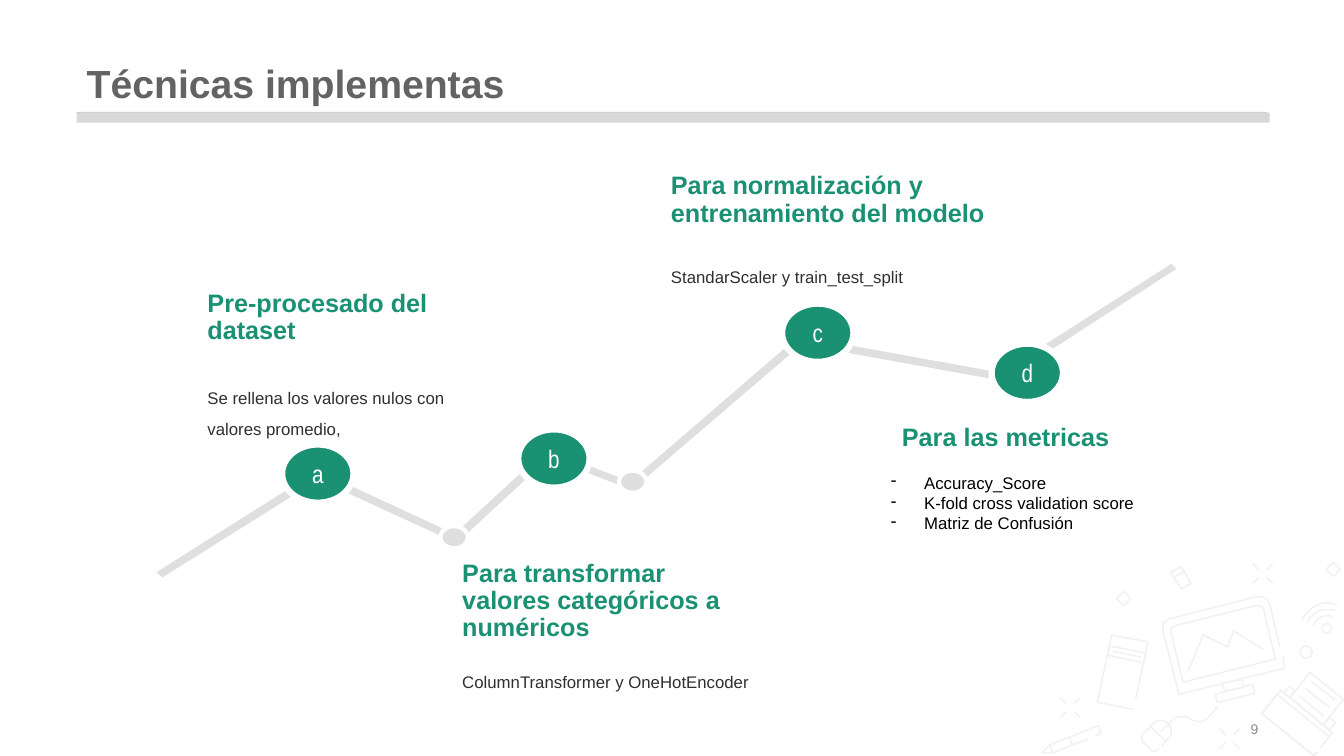
from itertools import product

from lxml.etree import SubElement
from pptx import Presentation
from pptx.dml.color import RGBColor
from pptx.enum.shapes import MSO_CONNECTOR, MSO_SHAPE
from pptx.enum.text import MSO_ANCHOR, MSO_AUTO_SIZE, PP_ALIGN
from pptx.oxml.ns import qn
from pptx.util import Cm, Pt

GREEN = RGBColor(0x1A, 0x91, 0x73)
WHITE = RGBColor(0xFF, 0xFF, 0xFF)
BLACK = RGBColor(0x00, 0x00, 0x00)
TITLE_GREY = RGBColor(0x63, 0x63, 0x63)
BODY_GREY = RGBColor(0x2F, 0x2F, 0x2F)
NUMBER_GREY = RGBColor(0x8C, 0x8C, 0x8C)
RULE_DARK = RGBColor(0xCA, 0xCA, 0xCA)
RULE_LIGHT = RGBColor(0xD8, 0xD8, 0xD8)
PATH_GREY = RGBColor(0xDF, 0xDF, 0xDF)
SKETCH_GREY = RGBColor(0xF2, 0xF2, 0xF2)

GRID = Cm(2.54) / 100
SKETCH_WIDTH = Pt(1.12)
CURVE_STEPS = 8

ROUTE = [(6, 311), (0, 306), (160, 205), (296, 268), (387, 184), (470, 216),
         (637, 72), (639, 72), (838, 108), (1007, 0), (1012, 5), (840, 116),
         (640, 80), (472, 224), (389, 193), (298, 277), (161, 214)]
STOPS = [("a", 3.17, 4.55), ("b", 9.12, 4.17), ("c", 15.77, 1), ("d", 21.05, 2.01)]
BENDS = [(7.16, 6.61), (11.66, 5.21)]

CLOSED_SKETCHES = [
    [(211, 130), (174, 139), (172, 131), (209, 121)],
    [(200, 124), (181, 128), (179, 120), (198, 116)],
    [(279, 161), (246, 134), (266, 109), (299, 136)],
    [(246, 134), (240, 130), (245, 123), (251, 128)],
    [(285, 166), (279, 161), (285, 154), (291, 159)],
    [(101, 100), (65, 92), (67, 83), (103, 90)],
    [(148, 21), (138, 26), (128, 10), (138, 4)],
    [(148, 21), (138, 26), (131, 15), (141, 9)],
    [(81, 43), (74, 36), (81, 29), (88, 36)],
    [(289, 14), (282, 7), (289, 0), (296, 7)],
]
OPEN_SKETCHES = [
    [(258, 58), (263, 44, 279, 37, 293, 42)],
    [(263, 60), (268, 49, 280, 44, 291, 48)],
    [(269, 63), (272, 55, 281, 51, 288, 54)],
    [(119, 182), (125, 175), (130, 171, 129, 164, 125, 160),
     (121, 156, 114, 156, 110, 160), (100, 171), (98, 173, 98, 177, 101, 179),
     (107, 185), (109, 188, 113, 188, 116, 185)],
    [(118, 168), (129, 157), (134, 152, 142, 151, 147, 155),
     (154, 160, 162, 158, 167, 152), (174, 143)],
    [(239, 94), (241, 105), (136, 131), (120, 68), (119, 63, 122, 57, 127, 56),
     (213, 34), (219, 33, 224, 36, 226, 42), (236, 84)],
    [(229, 86), (232, 96), (140, 119), (128, 70), (127, 67, 129, 64, 132, 63),
     (212, 43), (216, 42, 219, 44, 220, 47), (229, 86)],
    [(145, 108), (160, 72), (184, 84), (190, 68), (219, 86)],
    [(273, 188), (270, 192), (218, 150), (237, 127), (288, 169), (276, 184)],
    [(273, 188), (270, 192), (218, 150), (233, 131), (285, 173), (277, 183)],
    [(91, 146), (55, 139), (69, 72), (105, 79), (94, 131), (93, 135)],
    [(46, 175), (11, 189), (8, 181), (56, 162), (59, 170), (53, 172)],
    [(8, 181), (0, 189), (11, 189)],
]
STROKES = [(267, 118, 291, 137), (261, 125, 285, 144), (256, 133, 279, 152),
           (70, 88, 98, 94), (27, 174, 30, 181), (108, 163, 123, 178)]
SPARKS = [(186, 175), (28, 144), (219, 11)]
RINGS = [(256, 83, 12), (278, 61, 9)]


def style_font(paragraph, size, color, bold=False, name="Arial"):
    """Set the font shared by all runs of a paragraph."""
    font = paragraph.font
    font.name, font.size, font.bold = name, Pt(size), bold
    font.color.rgb = color


def add_text(slide, box, text, size, color, bold=False, spacing=None):
    """Add a wrapped text box and return its shape."""
    shape = slide.shapes.add_textbox(*map(Cm, box))
    shape.text_frame.word_wrap = True
    paragraph = shape.text_frame.paragraphs[0]
    paragraph.text = text
    if spacing:
        paragraph.line_spacing = spacing
    style_font(paragraph, size, color, bold)
    return shape


def add_filled(slide, kind, box, fill, border=0):
    """Add a preset shape with a flat fill and an optional white border."""
    shape = slide.shapes.add_shape(kind, *map(Cm, box))
    shape.shadow.inherit = False
    shape.fill.solid()
    shape.fill.fore_color.rgb = fill
    if border:
        shape.line.color.rgb = WHITE
        shape.line.width = Pt(border)
    else:
        shape.line.fill.background()
    return shape


def trace(steps):
    """Turn points and cubic curve steps into a list of points."""
    points = [steps[0]]
    for step in steps[1:]:
        if len(step) == 2:
            points.append(step)
            continue
        controls = [points[-1], step[:2], step[2:4], step[4:]]
        for index in range(1, CURVE_STEPS + 1):
            t = index / CURVE_STEPS
            weights = ((1 - t) ** 3, 3 * t * (1 - t) ** 2, 3 * t * t * (1 - t), t ** 3)
            points.append(tuple(sum(weight * control[axis] for weight, control
                                    in zip(weights, controls)) for axis in (0, 1)))
    return points


def add_outline(shapes, left, top, steps, close):
    """Add a freeform whose grid starts at the given corner."""
    points = trace(steps)
    builder = shapes.build_freeform(*points[0], scale=GRID)
    builder.add_line_segments(points[1:], close=close)
    shape = builder.convert_to_shape(Cm(left), Cm(top))
    shape.shadow.inherit = False
    return shape


def style_sketch(shape):
    """Give a shape the pale unfilled sketch line."""
    shape.fill.background()
    shape.line.color.rgb = SKETCH_GREY
    shape.line.width = SKETCH_WIDTH


def add_sketches(slide, left, top):
    """Draw the pale desk objects in the corner."""
    shapes = slide.shapes.add_group_shape().shapes
    for sketches, close in ((CLOSED_SKETCHES, True), (OPEN_SKETCHES, False)):
        for steps in sketches:
            style_sketch(add_outline(shapes, left, top, steps, close))
    for x, y, size in RINGS:
        ring = shapes.add_shape(MSO_SHAPE.OVAL, Cm(left) + int(x * GRID),
                                Cm(top) + int(y * GRID), int(size * GRID), int(size * GRID))
        ring.shadow.inherit = False
        style_sketch(ring)
    rays = [(x + 4 * across, y + 4 * down, x + 10 * across, y + 10 * down)
            for (x, y), across, down in product(SPARKS, (-1, 1), (-1, 1))]
    for x1, y1, x2, y2 in STROKES + rays:
        stroke = shapes.add_connector(
            MSO_CONNECTOR.STRAIGHT, Cm(left) + int(x1 * GRID), Cm(top) + int(y1 * GRID),
            Cm(left) + int(x2 * GRID), Cm(top) + int(y2 * GRID))
        stroke.line.color.rgb = SKETCH_GREY
        stroke.line.width = SKETCH_WIDTH
        SubElement(stroke._element.spPr, qn("a:effectLst"))


def add_title(slide, left, top, width, height):
    """Place the title and the double rule beneath it."""
    base = top + height
    add_filled(slide, MSO_SHAPE.RECTANGLE, (left, base, width, 0.05), RULE_DARK)
    add_filled(slide, MSO_SHAPE.RECTANGLE, (left, base + 0.02, width + 0.07, 0.25), RULE_LIGHT)
    title = slide.shapes.title
    title.left, title.top, title.width, title.height = map(Cm, (left, top, width, height))
    title.text_frame.text = "Técnicas implementas"
    title.text_frame.vertical_anchor = MSO_ANCHOR.BOTTOM
    title.text_frame.auto_size = MSO_AUTO_SIZE.NONE
    paragraph = title.text_frame.paragraphs[0]
    paragraph.alignment = PP_ALIGN.LEFT
    paragraph.line_spacing = 0.9
    style_font(paragraph, 28, TITLE_GREY, True)


def add_route(slide, left, top):
    """Draw the zigzag route with its bends and lettered stops."""
    route = add_outline(slide.shapes, left, top, ROUTE, True)
    route.fill.solid()
    route.fill.fore_color.rgb = PATH_GREY
    route.line.fill.background()
    for x, y in BENDS:
        add_filled(slide, MSO_SHAPE.OVAL, (left + x, top + y, 0.69, 0.56), PATH_GREY, 3)
    for letter, x, y in STOPS:
        stop = add_filled(slide, MSO_SHAPE.OVAL, (left + x, top + y, 1.8, 1.47), GREEN, 4.5)
        paragraph = stop.text_frame.paragraphs[0]
        paragraph.text = letter
        paragraph.alignment = PP_ALIGN.CENTER
        style_font(paragraph, 18, WHITE, name="Arial Narrow")


def add_caption(slide, left, top, heading, heading_size, body, body_drop, body_width):
    """Place a green heading with its explanation below."""
    add_text(slide, (left, top, *heading_size), heading, 18, GREEN, True, 0.9)
    add_text(slide, (left, top + body_drop, body_width, 1.55), body, 12, BODY_GREY, spacing=1.5)


def add_metrics(slide, left, top):
    """Place the metrics heading and its dashed list."""
    add_text(slide, (left + 0.71, top, 7.42, 0.97), "Para las metricas", 18, GREEN, True, 0.9)
    frame = slide.shapes.add_textbox(*map(Cm, (left, top + 1.2, 8.15, 2.03))).text_frame
    frame.word_wrap = True
    frame.text = "Accuracy_Score\nK-fold cross validation score\nMatriz de Confusión"
    for paragraph in frame.paragraphs:
        properties = paragraph._p.get_or_add_pPr()
        properties.set("marL", str(Cm(1.27)))
        properties.set("indent", str(Cm(-0.84)))
        SubElement(properties, qn("a:buChar"), char="-")
        style_font(paragraph, 12, BLACK)


def main():
    """Build and save the slide."""
    presentation = Presentation()
    presentation.slide_width, presentation.slide_height = Cm(33.87), Cm(19.05)
    slide = presentation.slides.add_slide(presentation.slide_layouts[5])
    add_sketches(slide, 26.26, 14.17)
    add_title(slide, 1.93, 1.32, 30, 1.5)
    add_route(slide, 3.94, 6.65)
    add_caption(slide, 4.98, 7.19, "Pre-procesado del dataset", (7.42, 1.55),
                "Se rellena los valores nulos con valores promedio,", 2.21, 7.42)
    add_caption(slide, 11.4, 14, "Para transformar valores categóricos a numéricos",
                (7.42, 2.34), "ColumnTransformer y OneHotEncoder", 2.56, 8.99)
    add_caption(slide, 16.66, 4.24, "Para normalización y entrenamiento del modelo",
                (8.79, 1.5), "StandarScaler y train_test_split", 2.11, 7.42)
    add_metrics(slide, 21.77, 10.59)
    number = add_text(slide, (23.93, 18.08, 8.03, 0.58), "9", 10, NUMBER_GREY)
    number.text_frame.vertical_anchor = MSO_ANCHOR.MIDDLE
    number.text_frame.paragraphs[0].alignment = PP_ALIGN.RIGHT
    presentation.save("out.pptx")


if __name__ == "__main__":
    main()
